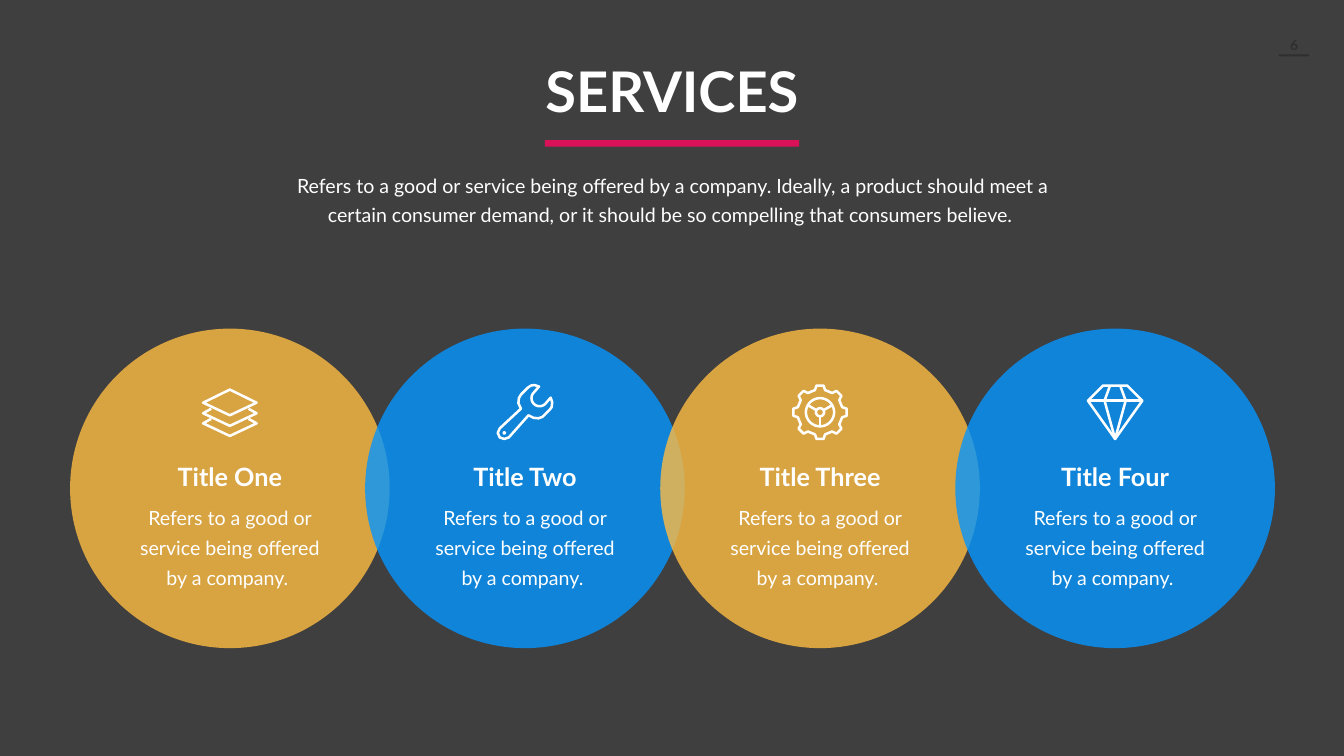
from math import cos, radians, sin

from lxml.etree import SubElement
from pptx import Presentation
from pptx.dml.color import RGBColor
from pptx.enum.shapes import MSO_SHAPE as SHAPE
from pptx.enum.text import MSO_ANCHOR as ANCHOR, MSO_AUTO_SIZE as AUTO, PP_ALIGN as ALIGN
from pptx.oxml.ns import qn
from pptx.util import Inches, Pt

# Colours and font
BACK = RGBColor(0x3F, 0x3F, 0x3F)
DARK = RGBColor(0x2F, 0x2F, 0x2F)
WHITE = RGBColor(0xFF, 0xFF, 0xFF)
PINK = RGBColor(0xD8, 0x11, 0x59)
GOLD = RGBColor(0xFF, 0xBC, 0x42)
BLUE = RGBColor(0x04, 0x96, 0xFF)
FONT = "Lato"

# Content
TITLE = "SERVICES"
INTRO = ("Refers to a good or service being offered by a company. Ideally, a product "
         "should meet a certain consumer demand, or it should be so compelling that "
         "consumers believe. ")
BODY = "Refers to a good or service being offered by a company. "
PAGE = "6"


# Icon outlines: (points, closed), in inches from the icon centre, y downwards
def arc(cx, cy, radius, start, end, steps=36):
    angles = [radians(start + (end - start) * i / steps) for i in range(steps + 1)]
    return [(cx + radius * cos(a), cy + radius * sin(a)) for a in angles]


def ring(cx, cy, radius):
    return arc(cx, cy, radius, 0, 350, 35), True


def rotate(x, y, degrees):
    a = radians(degrees)
    return x * cos(a) - y * sin(a), x * sin(a) + y * cos(a)


def layers():
    sheet = [(0, -0.45), (0.53, -0.19), (0, 0.06), (-0.53, -0.19)]
    edge = [(-0.37, -0.07), (-0.53, 0.02), (0, 0.27), (0.53, 0.02), (0.37, -0.07)]
    return [(sheet, True), (edge, False), ([(x, y + 0.2) for x, y in edge], False)]


def wrench():
    jaw = arc(0.29, -0.28, 0.16, 225, 45)
    handle = [(0.51, -0.29), (0.54, -0.2), (0.53, -0.1), (0.49, -0.05), (0.35, 0.09),
              (0.27, 0.12), (0.17, 0.11), (0.07, 0.06), (-0.32, 0.5), (-0.41, 0.53),
              (-0.5, 0.5), (-0.54, 0.41), (-0.5, 0.32), (-0.08, -0.07), (-0.13, -0.18),
              (-0.12, -0.28), (-0.08, -0.35), (0.06, -0.49), (0.12, -0.53),
              (0.19, -0.54), (0.28, -0.51)]
    return [(jaw + handle, True), ring(-0.41, 0.41, 0.01)]


def gear():
    tooth = [(-0.1, -0.44), (-0.07, -0.53), (0.07, -0.53), (0.1, -0.44)]
    rim = [rotate(x, y, 45 * k) for k in range(8) for x, y in tooth]
    spokes = [([rotate(0.08, 0, a), rotate(0.28, 0, a)], False) for a in (90, 210, 330)]
    return [(rim, True), ring(0, 0, 0.28), ring(0, 0, 0.08)] + spokes


def diamond():
    outline = [(-0.24, -0.53), (0.24, -0.53), (0.54, -0.23), (0, 0.53), (-0.54, -0.23)]
    facets = [(-0.1, -0.53), (-0.21, -0.23), (0, 0.53), (0.21, -0.23), (0.1, -0.53)]
    return [(outline, True), ([(-0.54, -0.23), (0.54, -0.23)], False), (facets, False)]


SERVICES = [
    ("Title One", GOLD, layers()),
    ("Title Two", BLUE, wrench()),
    ("Title Three", GOLD, gear()),
    ("Title Four", BLUE, diamond()),
]

# Layout, in inches
WIDTH, HEIGHT = 26.66, 15
DIAMETER, CIRCLE_TOP = 6.34, 6.52
FIRST_LEFT, LAST_LEFT = 1.39, 18.95
PITCH = (LAST_LEFT - FIRST_LEFT) / (len(SERVICES) - 1)
ICON_Y = 8.18
NAME_WIDTH, BODY_WIDTH = 3, 4.37


def box(left, top, width, height):
    return [Inches(v) for v in (left, top, width, height)]


def add_shape(s, kind, at, color, opacity=None):
    sp = s.shapes.add_shape(kind, *box(*at))
    sp.shadow.inherit = False
    sp.line.fill.background()
    sp.fill.solid()
    sp.fill.fore_color.rgb = color
    if opacity:
        clr = sp.fill._xPr.find(".//" + qn("a:srgbClr"))
        SubElement(clr, qn("a:alpha")).set("val", str(opacity * 1000))


def write(sp, text, size, bold=False, color=WHITE, line=None, wrap=True,
          margins=(0.1, 0.05), anchor=ANCHOR.TOP):
    tf = sp.text_frame
    tf.word_wrap = wrap
    tf.auto_size = AUTO.SHAPE_TO_FIT_TEXT
    tf.vertical_anchor = anchor
    tf.margin_left = tf.margin_right = Inches(margins[0])
    tf.margin_top = tf.margin_bottom = Inches(margins[1])
    p = tf.paragraphs[0]
    p.text = text
    p.alignment = ALIGN.CENTER
    if line:
        p.line_spacing = Pt(line)
    p.font.name, p.font.size, p.font.bold = FONT, Pt(size), bold
    p.font.color.rgb = color


def add_text(s, at, *args, **kwargs):
    write(s.shapes.add_textbox(*box(*at)), *args, **kwargs)


def add_icon(s, cx, cy, outlines):
    def place(points):
        return [(Inches(cx + x), Inches(cy + y)) for x, y in points]

    builder = None
    for points, closed in outlines:
        start, *rest = place(points)
        if builder is None:
            builder = s.shapes.build_freeform(*start)
        else:
            builder.move_to(*start)
        builder.add_line_segments(rest, close=closed)
    sp = builder.convert_to_shape()
    sp.shadow.inherit = False
    sp.fill.background()
    sp.line.color.rgb = WHITE
    sp.line.width = Pt(3.6)


def main():
    prs = Presentation()
    prs.slide_width, prs.slide_height = Inches(WIDTH), Inches(HEIGHT)
    s = prs.slides.add_slide(prs.slide_layouts[5])
    s.background.fill.solid()
    s.background.fill.fore_color.rgb = BACK

    # Page number
    add_shape(s, SHAPE.RECTANGLE, (25.37, 1.08, 0.6, 0.04), DARK)
    add_text(s, (25.37, 0.67, 0.6, 0.44), PAGE, 20, bold=True, color=DARK,
             anchor=ANCHOR.MIDDLE)

    # Heading
    title = s.shapes.title
    title.left, title.top, title.width, title.height = box(9.99, 1.08, 6.68, 1.44)
    write(title, TITLE, 80, bold=True)
    add_shape(s, SHAPE.RECTANGLE, (10.81, 2.78, 5.04, 0.13), PINK)
    add_text(s, (5.7, 3.31, 15.28, 1.23), INTRO, 28, line=40.7)

    # Overlapping circles
    lefts = [FIRST_LEFT + i * PITCH for i in range(len(SERVICES))]
    for left, (_, color, _) in zip(lefts, SERVICES):
        add_shape(s, SHAPE.OVAL, (left, CIRCLE_TOP, DIAMETER, DIAMETER), color, 80)

    # Icon, name and text in each circle
    for left, (name, _, outlines) in zip(lefts, SERVICES):
        cx = left + DIAMETER / 2
        add_text(s, (cx - BODY_WIDTH / 2, 9.78, BODY_WIDTH, 2.03), BODY, 28, line=43,
                 margins=(0.24, 0.12))
        add_text(s, (cx - NAME_WIDTH / 2, 9.1, NAME_WIDTH, 0.7), name, 36, bold=True,
                 wrap=False)
        add_icon(s, cx, ICON_Y, outlines)

    prs.save("out.pptx")


if __name__ == "__main__":
    main()
